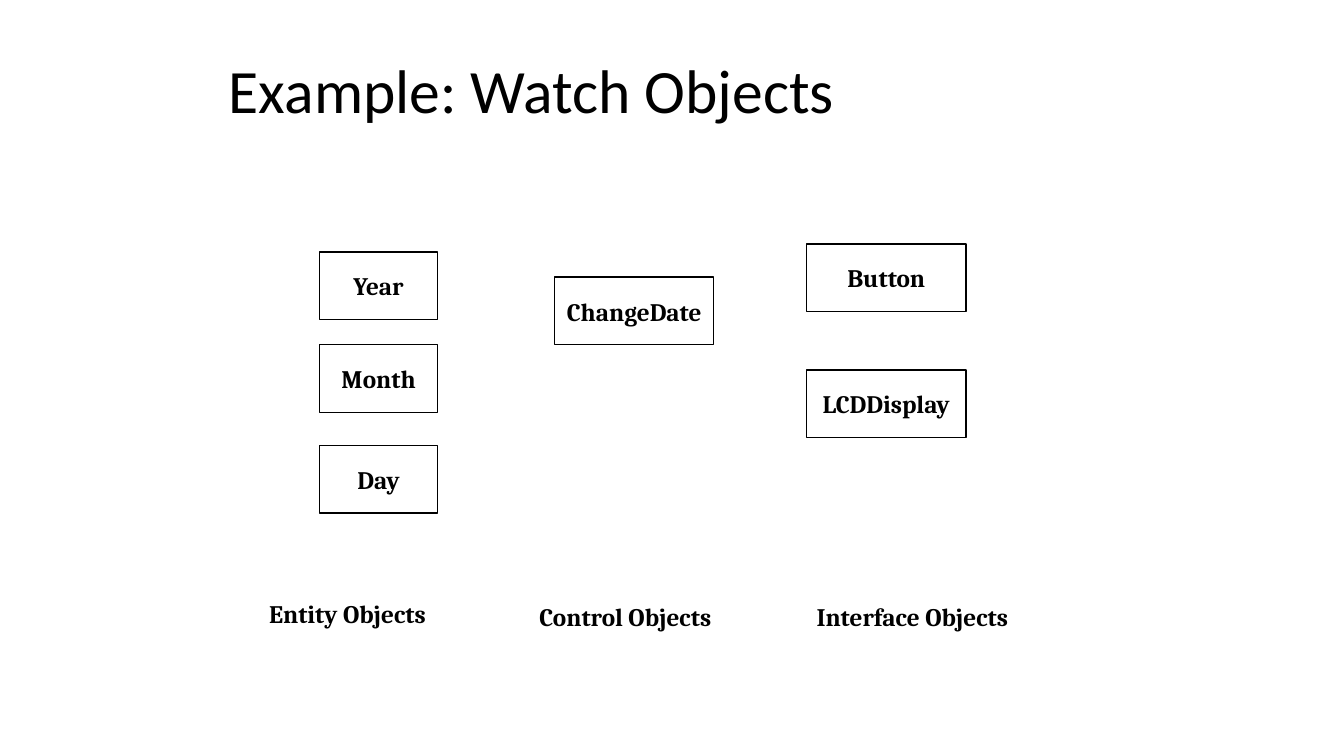
import pptx
import pptx.dml.color
import pptx.enum.shapes
import pptx.enum.text
import pptx.util
from pptx.util import Inches

BLACK = pptx.dml.color.RGBColor(0x00, 0x00, 0x00)
WHITE = pptx.dml.color.RGBColor(0xFF, 0xFF, 0xFF)
ALIGN = pptx.enum.text.PP_ALIGN
MIDDLE = pptx.enum.text.MSO_ANCHOR.MIDDLE

BOX_HEIGHT = 0.67

# Each column: box left, box width, (class name, top) pairs,
# then the caption with its left, top and width
COLUMNS = [
    (3.17, 1.17, [("Year", 2.5), ("Month", 3.42), ("Day", 4.42)],
     ("Entity Objects", 2.57, 5.89, 1.83)),
    (5.5, 1.58, [("ChangeDate", 2.75)],
     ("Control Objects", 5.25, 5.92, 2.01)),
    (8, 1.58, [("Button", 2.42), ("LCDDisplay", 3.67)],
     ("Interface Objects", 8, 5.92, 2.15)),
]


def write(frame, text, font_name, size, align, bold=False):
    frame.text = text
    paragraph = frame.paragraphs[0]
    paragraph.alignment = align
    paragraph.font.name = font_name
    paragraph.font.size = pptx.util.Pt(size)
    paragraph.font.bold = bold
    paragraph.font.color.rgb = BLACK
    return paragraph


def set_title(slide, text):
    title = slide.shapes.title
    title.left, title.top = Inches(2.17), Inches(0.31)
    title.width, title.height = Inches(9), Inches(1.24)
    title.text_frame.vertical_anchor = MIDDLE
    heading = write(title.text_frame, text, "Calibri", 44, ALIGN.LEFT)
    heading.line_spacing = 0.9


def add_class_box(slide, name, left, top, width):
    box = slide.shapes.add_shape(
        pptx.enum.shapes.MSO_SHAPE.RECTANGLE,
        Inches(left), Inches(top), Inches(width), Inches(BOX_HEIGHT))
    box.shadow.inherit = False
    box.fill.solid()
    box.fill.fore_color.rgb = WHITE
    box.line.color.rgb = BLACK
    box.line.width = pptx.util.Pt(1)
    box.text_frame.word_wrap = False
    box.text_frame.vertical_anchor = MIDDLE
    write(box.text_frame, name, "Cambria", 18, ALIGN.CENTER, bold=True)


def add_caption(slide, text, left, top, width):
    caption = slide.shapes.add_textbox(
        Inches(left), Inches(top), Inches(width), Inches(0.4))
    frame = caption.text_frame
    frame.word_wrap = False
    frame.auto_size = pptx.enum.text.MSO_AUTO_SIZE.SHAPE_TO_FIT_TEXT
    write(frame, text, "Cambria", 18, ALIGN.LEFT, bold=True)


def main():
    deck = pptx.Presentation()
    deck.slide_width, deck.slide_height = Inches(13.33), Inches(7.5)
    slide = deck.slides.add_slide(deck.slide_layouts.get_by_name("Title Only"))

    set_title(slide, "Example: Watch Objects")

    # Object columns with their captions
    for left, width, classes, caption in COLUMNS:
        for name, top in classes:
            add_class_box(slide, name, left, top, width)
        add_caption(slide, *caption)

    deck.save("out.pptx")


if __name__ == "__main__":
    main()
